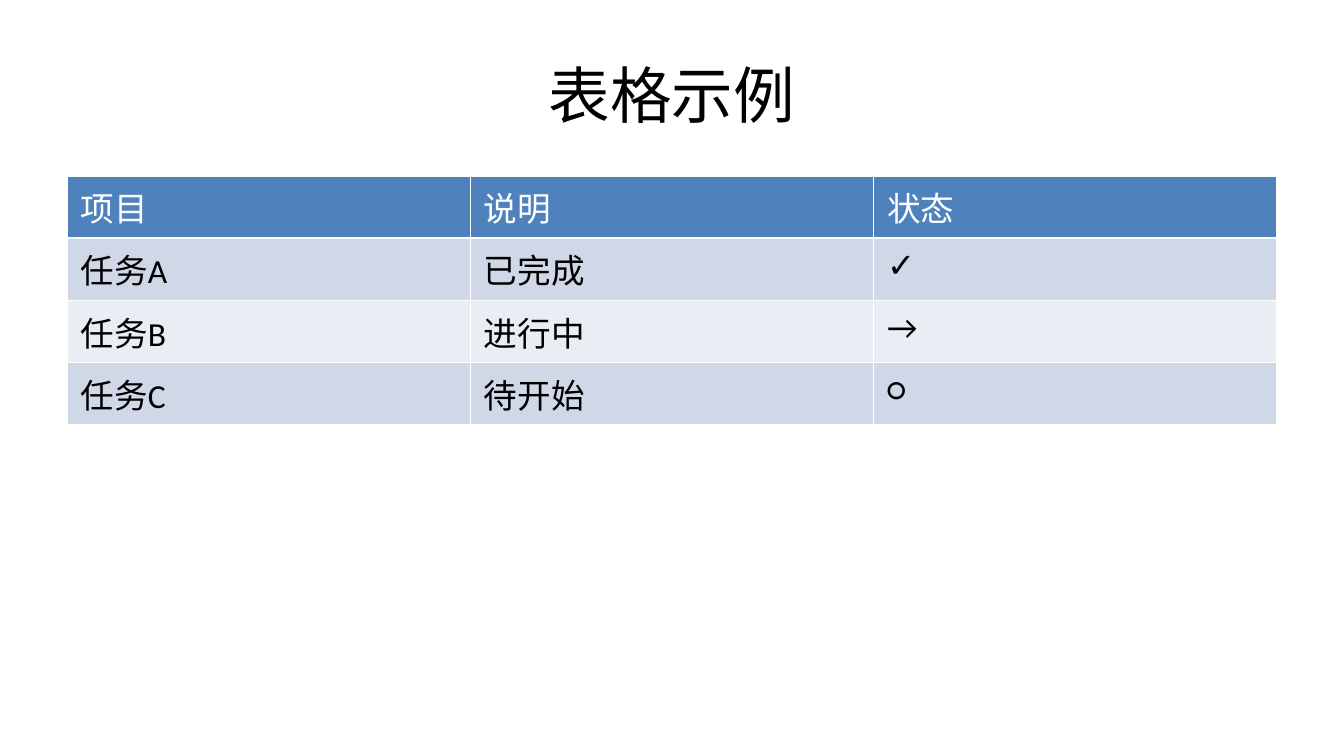
"""Build a slide with a title and a task status table."""
from pptx import Presentation
from pptx.dml.color import RGBColor
from pptx.enum.text import MSO_ANCHOR, PP_ALIGN
from pptx.util import Cm, Pt

TITLE = "表格示例"
ROWS = [
    ("项目", "说明", "状态"),
    ("任务A", "已完成", "✓"),
    ("任务B", "进行中", "→"),
    ("任务C", "待开始", "○"),
]

FONT = "Calibri"
BLACK = RGBColor(0x00, 0x00, 0x00)
WHITE = RGBColor(0xFF, 0xFF, 0xFF)
HEADER = RGBColor(0x4F, 0x81, 0xBD)
BANDS = (RGBColor(0xD0, 0xD8, 0xE8), RGBColor(0xE9, 0xED, 0xF4))

LEFT, WIDTH = Cm(1.27), Cm(22.86)
ROW_HEIGHT = Cm(1.17)


def write(tf, text, size=18, color=BLACK, align=PP_ALIGN.LEFT):
    p = tf.paragraphs[0]
    p.alignment = align
    r = p.add_run()
    r.text = text
    r.font.name = FONT
    r.font.size = Pt(size)
    r.font.bold = False
    r.font.color.rgb = color


def add_title(s):
    sp = s.shapes.title
    sp.left, sp.top, sp.width, sp.height = LEFT, Cm(0.58), WIDTH, Cm(2.38)
    sp.text_frame.vertical_anchor = MSO_ANCHOR.MIDDLE
    write(sp.text_frame, TITLE, size=33, align=PP_ALIGN.CENTER)


def add_status_table(s):
    table = s.shapes.add_table(len(ROWS), len(ROWS[0]), LEFT, Cm(3.33),
                               WIDTH, ROW_HEIGHT * len(ROWS)).table
    for i, row in enumerate(ROWS):
        fill, color = (BANDS[(i - 1) % 2], BLACK) if i else (HEADER, WHITE)
        for j, text in enumerate(row):
            cell = table.cell(i, j)
            cell.fill.solid()
            cell.fill.fore_color.rgb = fill
            write(cell.text_frame, text, color=color)


def main():
    prs = Presentation()
    prs.slide_width, prs.slide_height = Cm(25.4), Cm(14.29)
    s = prs.slides.add_slide(prs.slide_layouts[5])
    add_title(s)
    add_status_table(s)
    prs.save("out.pptx")


if __name__ == "__main__":
    main()
